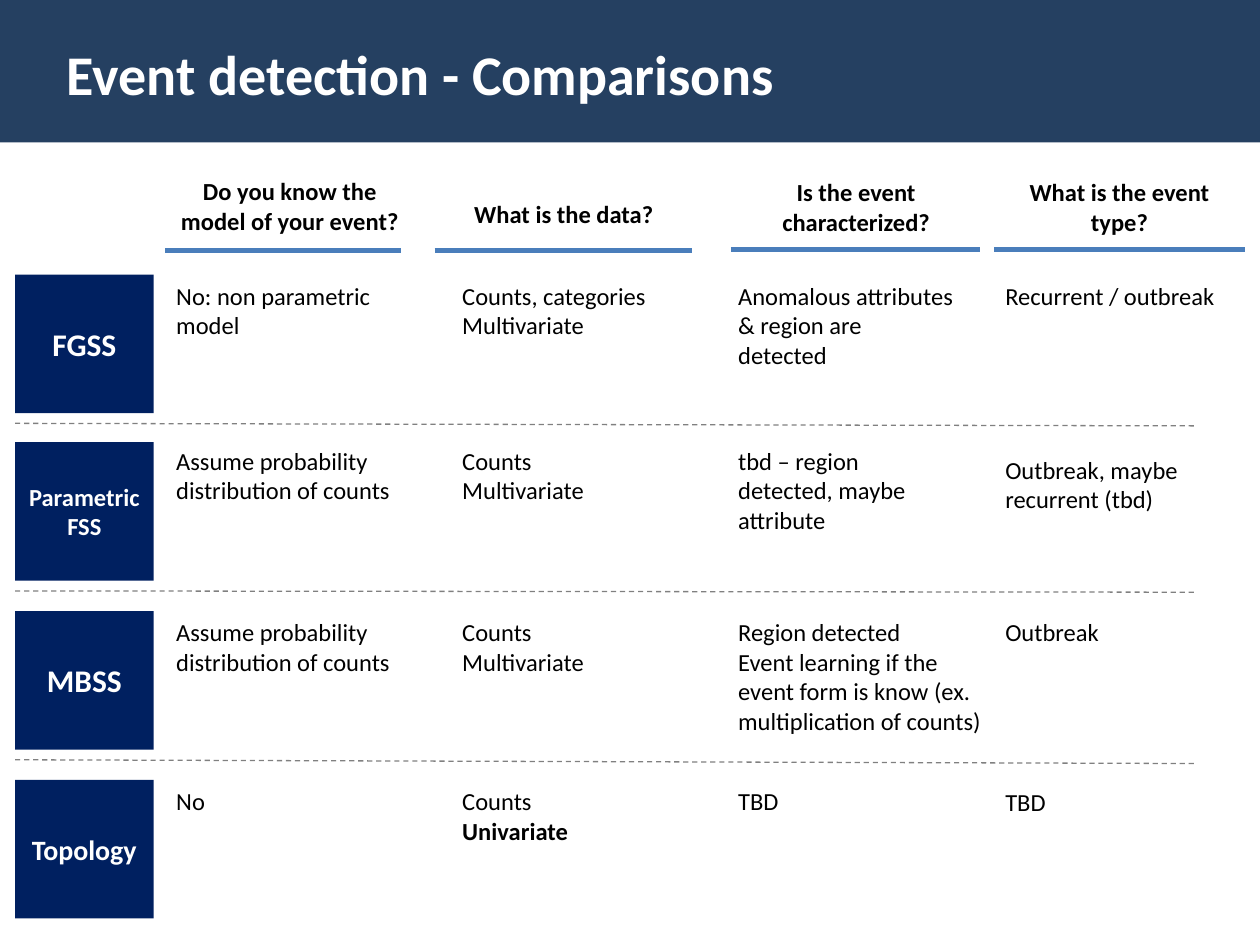
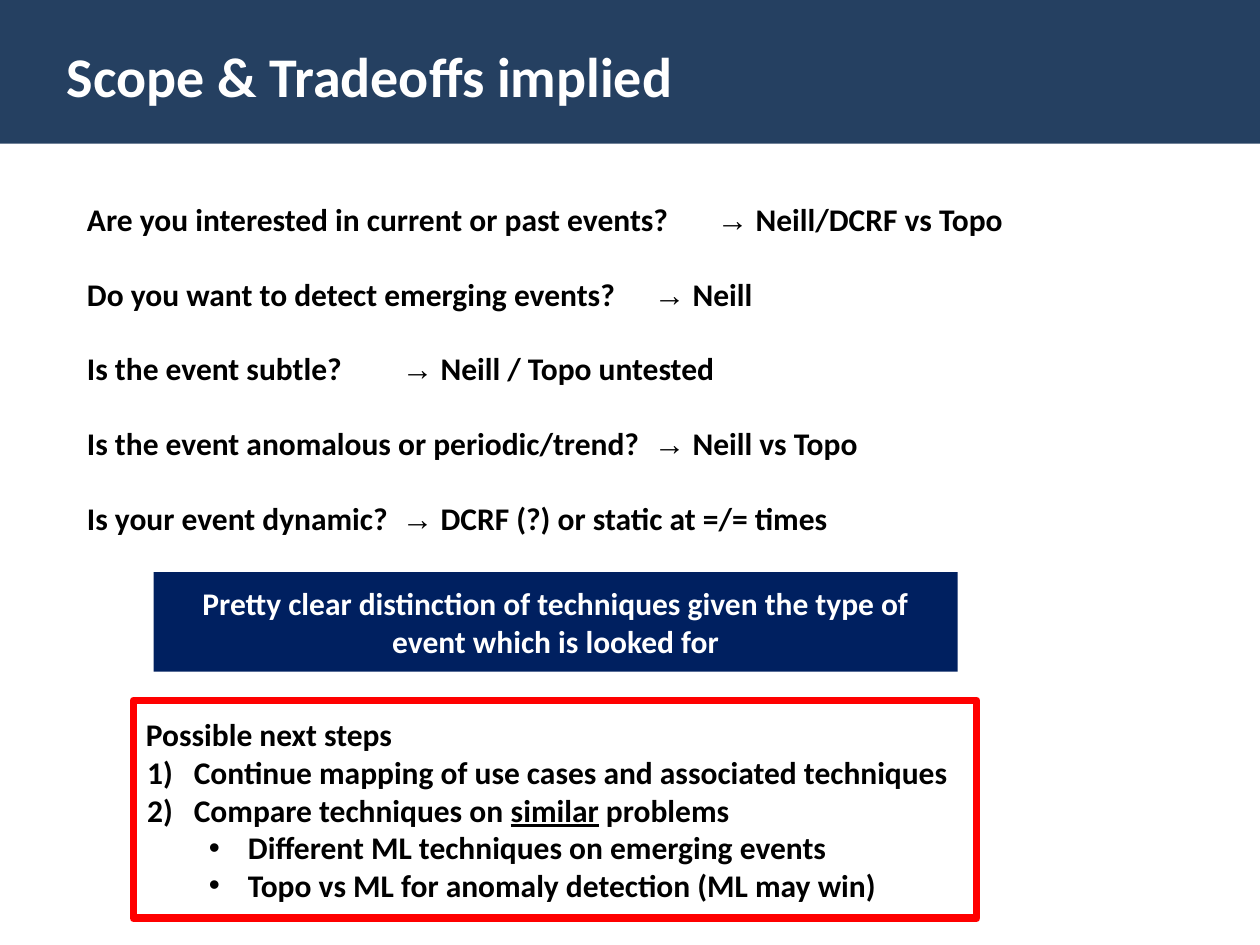
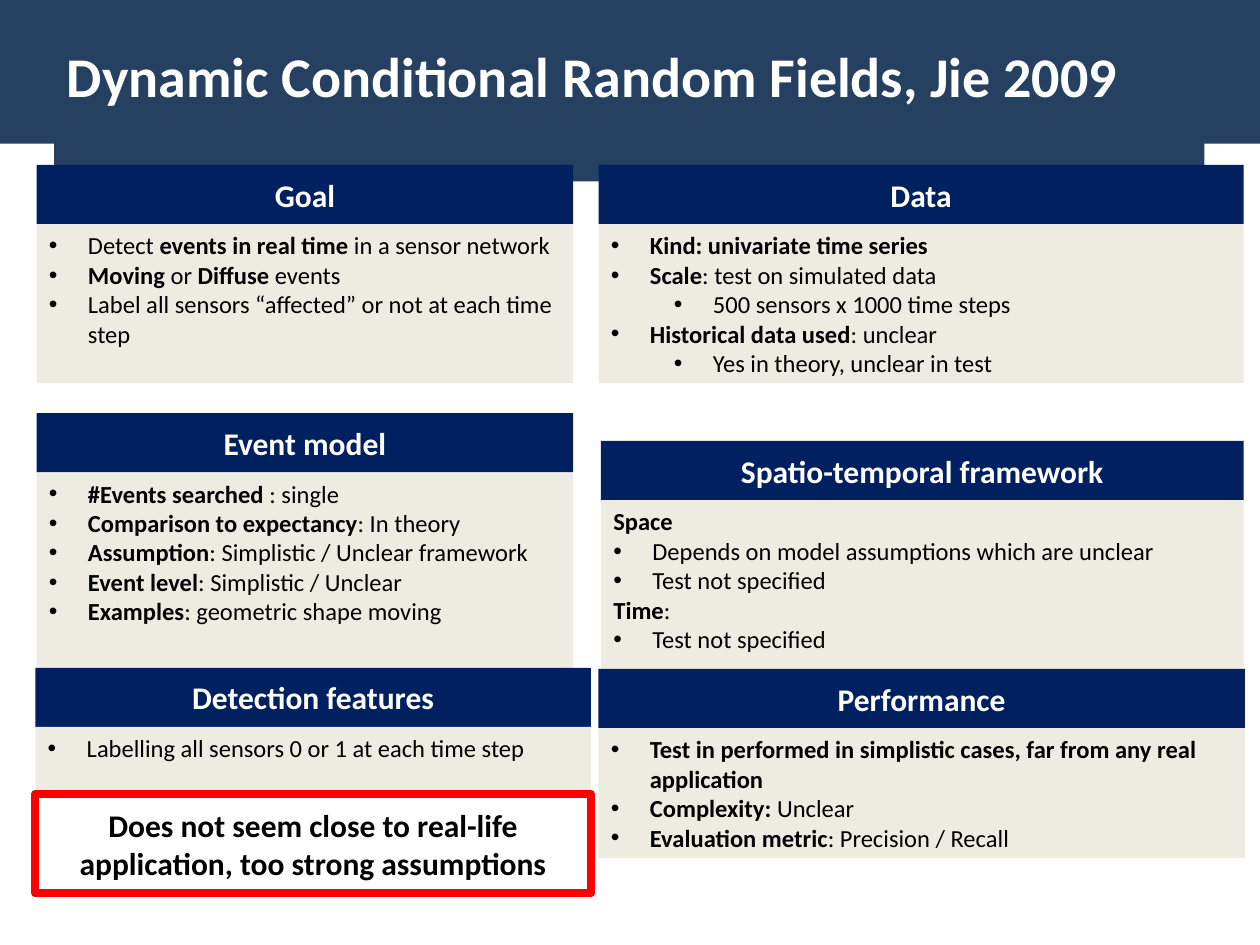
from dataclasses import dataclass
from typing import Any, NamedTuple, Optional, Sequence, Union

import pptx
import pptx.dml.color
import pptx.enum.dml
import pptx.enum.shapes
import pptx.enum.text
import pptx.oxml
import pptx.oxml.ns
import pptx.util

EMU_PER_PX = 9144  # 100 px to the inch
ALIGN = pptx.enum.text.PP_ALIGN
ANCHOR = pptx.enum.text.MSO_ANCHOR
RECTANGLE = pptx.enum.shapes.MSO_SHAPE.RECTANGLE
STRAIGHT = pptx.enum.shapes.MSO_CONNECTOR.STRAIGHT


@dataclass(frozen=True)
class Theme:
    band: str = "254061"
    navy: str = "002060"
    cream: str = "EEECE1"
    rule: str = "4A7EBB"
    divider: str = "808080"
    alert: str = "FF0000"
    white: str = "FFFFFF"
    black: str = "000000"
    font: str = "Calibri"
    symbol_font: str = "Arial"
    title_size: int = 32
    heading_size: int = 18
    label_size: int = 16
    text_size: int = 14


THEME = Theme()


class TextStyle(NamedTuple):
    size: int = THEME.text_size
    color: str = THEME.black
    bold: bool = False
    align: Any = ALIGN.LEFT


TITLE = TextStyle(THEME.title_size, THEME.white, True)
HEADING = TextStyle(THEME.heading_size, THEME.white, True, ALIGN.CENTER)
STATEMENT = TextStyle(THEME.heading_size, bold=True)
COLUMN_HEADING = TextStyle(bold=True, align=ALIGN.CENTER)
BODY = TextStyle()


class Rect(NamedTuple):
    left: int
    top: int
    width: int
    height: int


class Bullet(NamedTuple):
    left: int
    hang: int
    level: int
    mark: str


POINT = Bullet(31, 31, 0, '<a:buChar {ns} char="•"/>')
SUBPOINT = Bullet(81, 31, 1, '<a:buChar {ns} char="•"/>')
NUMBER = Bullet(38, 37, 0, '<a:buAutoNum {ns} type="arabicParenR"/>')


class Span(NamedTuple):
    text: str
    bold: Optional[bool] = None
    font: str = THEME.font
    underline: Optional[bool] = None


class Line(NamedTuple):
    spans: Sequence[Span]
    bullet: Optional[Bullet] = None
    tab: Optional[int] = None
    before: int = 0


def px(length: int) -> int:
    return pptx.util.Emu(length * EMU_PER_PX)


def rgb(value: str) -> Any:
    return pptx.dml.color.RGBColor.from_string(value)


def line(text: str, bullet: Optional[Bullet] = None) -> Line:
    """Make a line in which text between ** marks is bold."""
    pieces = enumerate(text.split("**"))
    return Line([Span(piece, True if index % 2 else None) for index, piece in pieces if piece], bullet)


def points(*texts: str) -> list[Line]:
    return [line(text, POINT) for text in texts]


def append_xml(parent: Any, template: str) -> None:
    parent.append(pptx.oxml.parse_xml(template.format(ns=pptx.oxml.ns.nsdecls("a"))))


def format_para(para: Any, item: Line, style: TextStyle) -> None:
    bullet = item.bullet
    formats = {
        "alignment": style.align,
        "level": bullet.level if bullet else 0,
        "space_before": pptx.util.Pt(item.before),
    }
    for name, value in formats.items():
        setattr(para, name, value)
    properties = para._p.get_or_add_pPr()
    properties.set("marL", str(px(bullet.left) if bullet else 0))
    properties.set("indent", str(-px(bullet.hang) if bullet else 0))
    if bullet:
        append_xml(properties, f'<a:buClr {{ns}}><a:srgbClr val="{THEME.black}"/></a:buClr>')
        font = THEME.font if bullet is NUMBER else THEME.symbol_font
        append_xml(properties, f'<a:buFont {{ns}} typeface="{font}"/>')
    append_xml(properties, bullet.mark if bullet else "<a:buNone {ns}/>")
    if item.tab:
        append_xml(properties, f'<a:tabLst {{ns}}><a:tab pos="{px(item.tab)}" algn="l"/></a:tabLst>')


def write(box: Any, items: Sequence[Union[str, Line]], style: TextStyle, anchor: Any = ANCHOR.TOP) -> None:
    frame = box.text_frame
    formats = {
        "word_wrap": True,
        "auto_size": pptx.enum.text.MSO_AUTO_SIZE.NONE,
        "vertical_anchor": anchor,
        "margin_left": px(10),
        "margin_right": px(10),
        "margin_top": px(5),
        "margin_bottom": px(5),
    }
    for name, value in formats.items():
        setattr(frame, name, value)
    for index, item in enumerate(items):
        item = line(item) if isinstance(item, str) else item
        para = frame.add_paragraph() if index else frame.paragraphs[0]
        format_para(para, item, style)
        for span in item.spans:
            run = para.add_run()
            run.text = span.text
            run_formats = {
                "name": span.font,
                "size": pptx.util.Pt(style.size),
                "bold": style.bold if span.bold is None else span.bold,
                "underline": span.underline,
            }
            for name, value in run_formats.items():
                setattr(run.font, name, value)
            run.font.color.rgb = rgb(style.color)


def place(box: Any, rect: Rect) -> None:
    for name, value in rect._asdict().items():
        setattr(box, name, px(value))


def add_block(page: Any, rect: Rect, fill: Optional[str] = None, outline: Optional[str] = None) -> Any:
    box = page.shapes.add_shape(RECTANGLE, *map(px, rect))
    box.shadow.inherit = False
    if fill:
        box.fill.solid()
        box.fill.fore_color.rgb = rgb(fill)
    else:
        box.fill.background()
    if outline:
        box.line.color.rgb = rgb(outline)
        box.line.width = pptx.util.Pt(4.5)
    else:
        box.line.fill.background()
    return box


def add_label(page: Any, rect: Rect, text: str, size: int = THEME.heading_size) -> None:
    write(add_block(page, rect, THEME.navy), [text], HEADING._replace(size=size), ANCHOR.MIDDLE)


def add_text(page: Any, rect: Rect, items: Sequence[Union[str, Line]], style: TextStyle) -> None:
    write(page.shapes.add_textbox(*map(px, rect)), items, style)


def add_line(page: Any, start: tuple[int, int], end: tuple[int, int], color: str, width: float) -> Any:
    connector = page.shapes.add_connector(STRAIGHT, *map(px, start + end))
    connector.line.color.rgb = rgb(color)
    connector.line.width = pptx.util.Pt(width)
    append_xml(connector.element.spPr, "<a:effectLst {ns}/>")
    return connector


def add_page(deck: Any, layout: str, title: str, title_top: int = 28, title_height: int = 63,
             band_height: int = 114) -> Any:
    page = deck.slides.add_slide(deck.slide_layouts.get_by_name(layout))
    band = add_block(page, Rect(0, 0, 1000, band_height), THEME.band)
    page.shapes.element.insert(2, band.element)
    heading = page.shapes.title
    place(heading, Rect(43, title_top, 913, title_height))
    heading.fill.solid()
    heading.fill.fore_color.rgb = rgb(THEME.band)
    write(heading, [title], TITLE)
    return page


class Cell(NamedTuple):
    lines: Sequence[str]
    rows: int
    width: int = 191


@dataclass(frozen=True)
class Column:
    heading: str
    heading_rect: Rect
    rule_left: int
    rule_right: int
    rule_top: int
    cell_left: int
    cells: Sequence[Cell]
    cell_tops: Sequence[int] = (218, 349, 485, 619)


METHODS = (
    ("FGSS", THEME.heading_size),
    ("Parametric FSS", THEME.text_size),
    ("MBSS", THEME.heading_size),
    ("Topology", THEME.label_size),
)
COLUMNS = (
    Column("Do you know the model of your event?", Rect(131, 135, 198, 80), 131, 318, 199, 130, (
        Cell(["No: non parametric model"], 3),
        Cell(["Assume probability distribution of counts"], 4),
        Cell(["Assume probability distribution of counts"], 4),
        Cell(["No"], 1),
    )),
    Column("What is the data?", Rect(339, 153, 217, 33), 345, 549, 199, 357, (
        Cell(["Counts, categories", "Multivariate"], 3),
        Cell(["Counts", "Multivariate"], 2),
        Cell(["Counts", "Multivariate"], 2),
        Cell(["Counts", "**Univariate**"], 2),
    )),
    Column("Is the event characterized?", Rect(574, 136, 211, 56), 580, 778, 198, 576, (
        Cell(["Anomalous attributes & region are detected"], 4),
        Cell(["tbd – region detected, maybe attribute"], 3),
        Cell(["Region detected",
              "Event learning if the event form is know (ex. multiplication of counts)"], 5, 219),
        Cell(["TBD"], 1),
    )),
    Column("What is the event type?", Rect(783, 136, 211, 56), 789, 988, 198, 788, (
        Cell(["Recurrent / outbreak"], 2),
        Cell(["Outbreak, maybe recurrent (tbd)"], 2),
        Cell(["Outbreak"], 1),
        Cell(["TBD"], 1),
    ), (218, 356, 485, 620)),
)
DIVIDERS = ((336, 338), (469, 470), (603, 606))


def build_comparisons(deck: Any) -> None:
    page = add_page(deck, "Title Only", "Event detection - Comparisons", title_top=26, band_height=113)
    for index, (method, size) in enumerate(METHODS):
        add_label(page, Rect(12, 218 + index * 401 // 3, 110, 110), method, size)
    for column in COLUMNS:
        add_text(page, column.heading_rect, [column.heading], COLUMN_HEADING)
        add_line(page, (column.rule_left, column.rule_top), (column.rule_right, column.rule_top),
                 THEME.rule, 3)
        for cell, top in zip(column.cells, column.cell_tops):
            height = 33 + 23 * (cell.rows - 1)
            add_text(page, Rect(column.cell_left, top, cell.width, height), cell.lines, BODY)
    for start, end in DIVIDERS:
        divider = add_line(page, (12, start), (950, end), THEME.divider, 0.75)
        divider.line.dash_style = pptx.enum.dml.MSO_LINE.DASH


QUESTIONS = (
    ("Are you interested in current or past events?", "Neill/DCRF vs Topo"),
    ("Do you want to detect emerging events?", "Neill"),
    ("Is the event subtle?", "Neill / Topo untested"),
    ("Is the event anomalous or periodic/trend?", "Neill vs Topo"),
    ("Is your event dynamic?", "DCRF (?) or static at =/= times"),
)
NEXT_STEPS = (
    line("Possible next steps"),
    line("Continue mapping of use cases and associated techniques", NUMBER),
    Line([Span("Compare techniques on "), Span("similar", underline=True), Span(" problems")], NUMBER),
    line("Different ML techniques on emerging events", SUBPOINT),
    line("Topo vs ML for anomaly detection (ML may win)", SUBPOINT),
)


def build_tradeoffs(deck: Any) -> None:
    page = add_page(deck, "Title and Content", "Scope & Tradeoffs implied")
    body = page.placeholders[1]
    place(body, Rect(59, 154, 898, 340))
    write(body, [
        Line([Span(f"{question}\t"), Span("→", font=THEME.symbol_font), Span(f" {answer}")],
             tab=500, before=21 if index else 0)
        for index, (question, answer) in enumerate(QUESTIONS)
    ], STATEMENT)
    add_label(page, Rect(122, 454, 638, 79),
              "Pretty clear distinction of techniques given the type of event which is looked for")
    steps = add_block(page, Rect(106, 556, 669, 173), outline=THEME.alert)
    write(steps, NEXT_STEPS, STATEMENT, ANCHOR.MIDDLE)


class Card(NamedTuple):
    heading: str
    left: int
    top: int
    width: int
    body_height: int
    lines: Sequence[Line]


CARD_HEADING_HEIGHT = 47
CARDS = (
    Card("Data", 475, 131, 512, 126, [
        line("**Kind: univariate time series**", POINT),
        line("**Scale**: test on simulated data", POINT),
        line("500 sensors x 1000 time steps", SUBPOINT),
        line("**Historical data used**: unclear", POINT),
        line("Yes in theory, unclear in test", SUBPOINT),
    ]),
    Card("Event model", 29, 328, 426, 173, points(
        "**#Events searched **: single",
        "**Comparison to expectancy**: In theory",
        "**Assumption**: Simplistic / Unclear framework",
        "**Event level**: Simplistic / Unclear",
        "**Examples**: geometric shape moving",
    )),
    Card("Goal", 29, 131, 426, 126, points(
        "Detect **events in real time **in a sensor network",
        "**Moving** or **Diffuse **events",
        "Label all sensors “affected” or not at each time step",
    )),
    Card("Spatio-temporal framework", 477, 350, 510, 150, [
        line("**Space**"),
        *points("Depends on model assumptions which are unclear", "Test not specified"),
        line("**Time**:"),
        *points("Test not specified"),
    ]),
    Card("Detection features", 28, 530, 441, 56, points("Labelling all sensors 0 or 1 at each time step")),
    Card("Performance", 475, 531, 513, 103, points(
        "**Test in performed in simplistic cases, far from any real application**",
        "**Complexity:** Unclear",
        "**Evaluation metric**: Precision / Recall",
    )),
)


def add_card(page: Any, card: Card) -> None:
    add_label(page, Rect(card.left, card.top, card.width, CARD_HEADING_HEIGHT), card.heading)
    body_top = card.top + CARD_HEADING_HEIGHT
    body = add_block(page, Rect(card.left, body_top, card.width, card.body_height), THEME.cream)
    write(body, card.lines, BODY)


def build_random_fields(deck: Any) -> None:
    page = add_page(deck, "Title Only", "Dynamic Conditional Random Fields, Jie 2009", title_height=116)
    for card in CARDS:
        add_card(page, card)
    verdict = add_block(page, Rect(28, 630, 441, 79), outline=THEME.alert)
    write(verdict, ["Does not seem close to real-life application, too strong assumptions"],
          STATEMENT._replace(align=ALIGN.CENTER), ANCHOR.MIDDLE)


def main() -> None:
    deck = pptx.Presentation()
    deck.slide_width, deck.slide_height = px(1000), px(750)
    build_comparisons(deck)
    build_tradeoffs(deck)
    build_random_fields(deck)
    deck.save("out.pptx")


if __name__ == "__main__":
    main()
